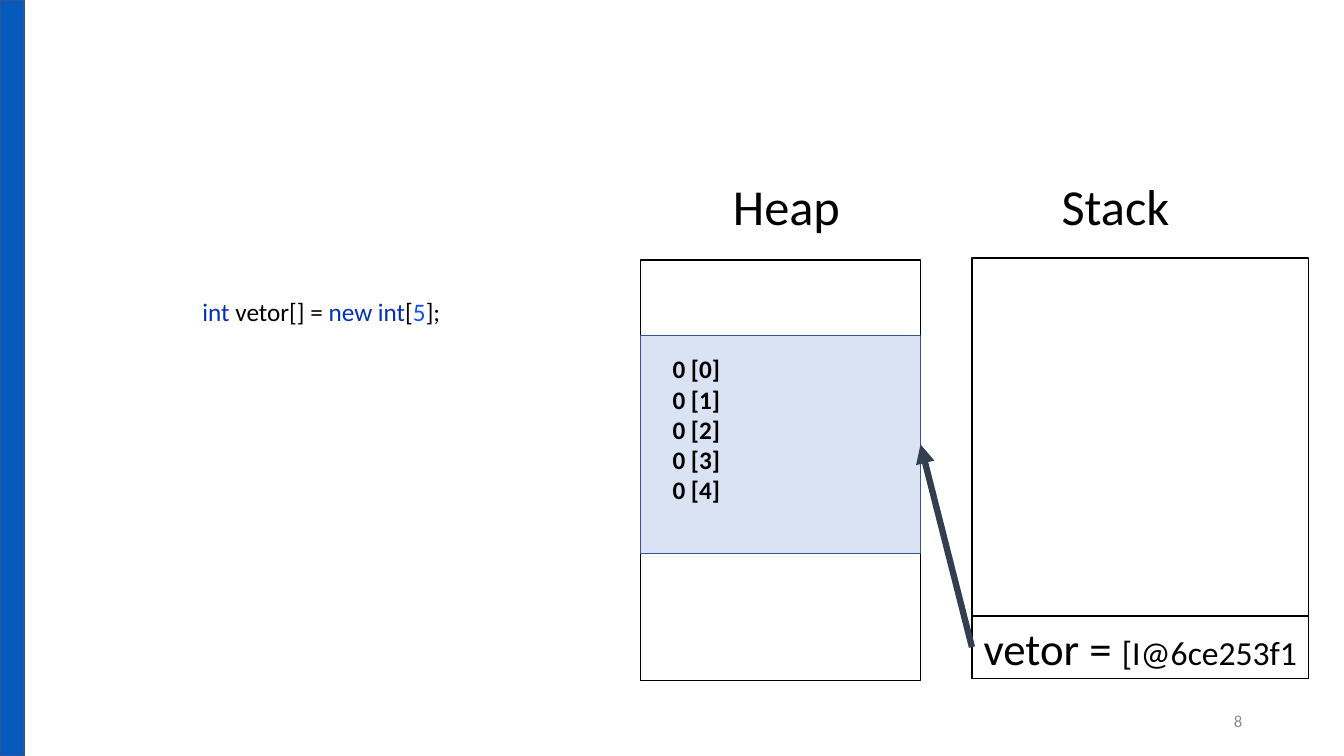
from dataclasses import dataclass

from pptx import Presentation
from pptx import util as u
from pptx.dml.color import RGBColor
from pptx.enum import shapes, text
from pptx.oxml.ns import qn
from lxml import etree

EMU_PER_PX = 9144  # 100 px to the inch
FONT = "Calibri"
BLACK, NAVY, KEYWORD, NUMBER = "000000", "325491", "0033B3", "1750EB"
LEFT, CENTER, RIGHT = text.PP_ALIGN.LEFT, text.PP_ALIGN.CENTER, text.PP_ALIGN.RIGHT
TOP, MIDDLE = text.MSO_ANCHOR.TOP, text.MSO_ANCHOR.MIDDLE


@dataclass(frozen=True)
class Box:
    left: int
    top: int
    width: int
    height: int

    def emu(self) -> list[u.Emu]:
        return [px(n) for n in (self.left, self.top, self.width, self.height)]


@dataclass(frozen=True)
class Run:
    wording: str
    size: int
    color: str = BLACK
    bold: bool = False


def px(n: int) -> u.Emu:
    return u.Emu(n * EMU_PER_PX)


def rgb(value: str) -> RGBColor:
    return RGBColor.from_string(value)


def write(shape, *paragraphs: list[Run], align=LEFT, anchor=TOP,
          inset_left: int = 10, inset_right: int = 10, inset_bottom: int = 5) -> None:
    frame = shape.text_frame
    frame.word_wrap = True
    frame.vertical_anchor = anchor
    frame.margin_left, frame.margin_right = px(inset_left), px(inset_right)
    frame.margin_top, frame.margin_bottom = px(5), px(inset_bottom)
    for i, runs in enumerate(paragraphs):
        paragraph = frame.add_paragraph() if i else frame.paragraphs[0]
        paragraph.alignment = align
        for item in runs:
            run = paragraph.add_run()
            run.text = item.wording
            font = run.font
            font.name, font.size, font.bold = FONT, u.Pt(item.size), item.bold
            font.color.rgb = rgb(item.color)


def add_rect(slide, box: Box, line: str = BLACK, fill: str | None = None):
    rect = slide.shapes.add_shape(shapes.MSO_SHAPE.RECTANGLE, *box.emu())
    rect.shadow.inherit = False
    if fill:
        rect.fill.solid()
        rect.fill.fore_color.rgb = rgb(fill)
    else:
        rect.fill.background()
    rect.line.color.rgb = rgb(line)
    rect.line.width = u.Pt(1)
    return rect


def add_label(slide, box: Box, *runs: Run, **layout) -> None:
    write(slide.shapes.add_textbox(*box.emu()), list(runs), **layout)


def add_reference(slide, source, target) -> None:
    """Arrow from the left side of source to the right side of target."""
    arrow = slide.shapes.add_connector(shapes.MSO_CONNECTOR.STRAIGHT, 0, 0, 0, 0)
    arrow.begin_connect(source, 1)
    arrow.end_connect(target, 3)
    arrow.line.color.rgb = rgb("333F50")
    arrow.line.width = u.Pt(4.5)
    etree.SubElement(arrow.line._get_or_add_ln(), qn("a:tailEnd"), type="triangle")
    etree.SubElement(arrow._element.spPr, qn("a:effectLst"))


def main() -> None:
    deck = Presentation()
    deck.slide_width, deck.slide_height = px(1333), px(750)
    slide = deck.slides.add_slide(deck.slide_layouts[6])

    add_rect(slide, Box(0, 0, 24, 750), line=NAVY, fill="045ABD")
    add_label(slide, Box(942, 695, 300, 40), Run("8", 12, "8C8C8C"),
              align=RIGHT, anchor=MIDDLE)

    add_rect(slide, Box(635, 258, 278, 417))
    add_rect(slide, Box(964, 256, 334, 417))
    for heading, left in (("Heap", 717), ("Stack", 1043)):
        add_label(slide, Box(left, 169, 151, 87), Run(heading, 36))

    array = add_rect(slide, Box(635, 333, 278, 216), line=NAVY, fill="DAE3F3")
    write(array, *([Run(f"0 [{index}]", 18, bold=True)] for index in range(5)),
          anchor=MIDDLE, inset_left=32, inset_bottom=35)

    variable = add_rect(slide, Box(964, 611, 334, 62))
    add_reference(slide, variable, array)
    write(variable, [Run("vetor = ", 32), Run("[I@6ce253f1", 24)],
          align=CENTER, anchor=MIDDLE, inset_left=5, inset_right=5)

    add_label(slide, Box(191, 289, 300, 40),
              Run("int ", 18, KEYWORD), Run("vetor[] = ", 18),
              Run("new int", 18, KEYWORD), Run("[", 18),
              Run("5", 18, NUMBER), Run("];", 18))

    deck.save("out.pptx")


if __name__ == "__main__":
    main()
